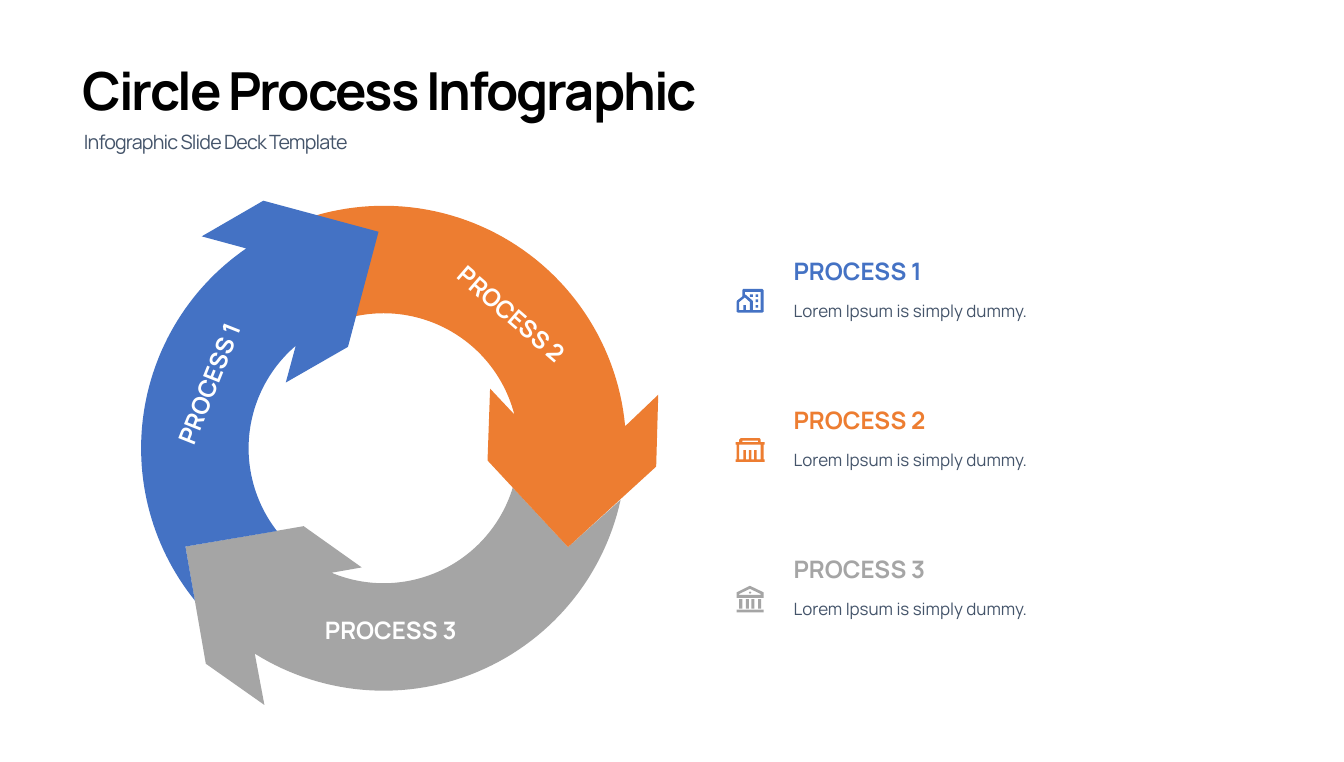
import math
from dataclasses import dataclass

import pptx
import pptx.dml.color
import pptx.enum.text
import pptx.util

Inches = pptx.util.Inches
Pt = pptx.util.Pt
Align = pptx.enum.text.PP_ALIGN


@dataclass(frozen=True)
class Theme:
    font: str = "Manrope"
    black: str = "000000"
    white: str = "FFFFFF"
    slate: str = "44546A"
    blue: str = "4472C4"
    orange: str = "ED7D31"
    grey: str = "A5A5A5"
    title: float = 74
    sub: float = 27.8
    head: float = 34
    body: float = 24


THEME = Theme()
MID_X, MID_Y = 7.53, 8.8
OUTER, INNER = 4.76, 2.65


def rgb(color):
    return pptx.dml.color.RGBColor.from_string(color)


def write(frame, text, size, color, bold=False, align=Align.LEFT,
          line=None, track=0):
    """Fill a text frame; line is exact spacing, track is letter spacing."""
    frame.word_wrap = True
    frame.auto_size = pptx.enum.text.MSO_AUTO_SIZE.NONE
    frame.vertical_anchor = pptx.enum.text.MSO_ANCHOR.TOP
    para = frame.paragraphs[0]
    para.alignment = align
    if line:
        para.line_spacing = Pt(line)
    run = para.add_run()
    run.text = text
    font = run.font
    font.name, font.size, font.bold = THEME.font, Pt(size), bold
    font.color.rgb = rgb(color)
    if track:
        run._r.get_or_add_rPr().set("spc", str(round(track * 100)))


def arc(radius, start, end, steps=60):
    """Points on the ring, in degrees clockwise from the right."""
    turns = (math.radians(start + (end - start) * i / steps)
             for i in range(steps + 1))
    return [(MID_X + radius * math.cos(a), MID_Y + radius * math.sin(a))
            for a in turns]


def box(left, top, right, bottom):
    return [(left, top), (right, top), (right, bottom), (left, bottom)]


class Deck:
    def __init__(self, theme):
        self.theme = theme
        self.file = pptx.Presentation()
        self.file.slide_width = Inches(26.38)
        self.file.slide_height = Inches(14.96)
        self.slide = self.file.slides.add_slide(self.file.slide_layouts[5])

    def title(self, text, left, top, width, height, **style):
        shape = self.slide.shapes.title
        shape.left, shape.top = Inches(left), Inches(top)
        shape.width, shape.height = Inches(width), Inches(height)
        write(shape.text_frame, text, **style)

    def text(self, text, left, top, width, height, turn=0, **style):
        shape = self.slide.shapes.add_textbox(
            Inches(left), Inches(top), Inches(width), Inches(height))
        shape.rotation = turn
        write(shape.text_frame, text, **style)

    def outline(self, loops, color, left=0, top=0):
        """Draw closed loops as one shape; inner loops are holes."""
        pen = None
        for loop in loops:
            first, *rest = [(Inches(left + x), Inches(top + y))
                            for x, y in loop]
            if pen is None:
                pen = self.slide.shapes.build_freeform(*first)
            else:
                pen.move_to(*first)
            pen.add_line_segments(rest, close=True)
        shape = pen.convert_to_shape()
        shape.shadow.inherit = False
        shape.fill.solid()
        shape.fill.fore_color.rgb = rgb(color)
        shape.line.fill.background()

    def arrow(self, color, outer, head, inner, tail):
        self.outline([arc(OUTER, *outer) + head + arc(INNER, *inner) + tail],
                     color)


HOUSE = [
    [(0.03, 0.47), (0, 0.45), (0, 0.25), (0.01, 0.23), (0.11, 0.15),
     (0.11, 0.03), (0.13, 0), (0.5, 0), (0.53, 0.03), (0.53, 0.45),
     (0.5, 0.47)],
    [(0.18, 0.42), (0.26, 0.42), (0.26, 0.26), (0.16, 0.17), (0.05, 0.26),
     (0.05, 0.42), (0.13, 0.42), (0.13, 0.32), (0.18, 0.32)],
    [(0.32, 0.42), (0.47, 0.42), (0.47, 0.06), (0.16, 0.06), (0.16, 0.11),
     (0.18, 0.12), (0.31, 0.23), (0.32, 0.25)],
    box(0.26, 0.11, 0.32, 0.16),
    *[box(0.37, y, 0.42, y + 0.05) for y in (0.11, 0.21, 0.32)],
]
HALL = [
    [(0.47, 0.08), (0.55, 0.08), (0.55, 0.13), (0.53, 0.13), (0.53, 0.42),
     (0.55, 0.42), (0.55, 0.47), (-0.02, 0.47), (-0.02, 0.42), (0, 0.42),
     (0, 0.13), (-0.02, 0.13), (-0.02, 0.08), (0.05, 0.08), (0.05, 0.03),
     (0.08, 0), (0.45, 0), (0.47, 0.03)],
    box(0.05, 0.13, 0.47, 0.42),
    box(0.11, 0.05, 0.42, 0.08),
    *[box(x, 0.24, x + 0.05, 0.42) for x in (0.13, 0.24, 0.34)],
]
BANK = [
    [(0, 0.1), (0.26, -0.03), (0.53, 0.1), (0.53, 0.21), (0, 0.21)],
    [(0.05, 0.13), (0.26, 0.03), (0.47, 0.13), (0.47, 0.15), (0.05, 0.15)],
    [(0.24, 0.1), (0.26, 0.08), (0.29, 0.1), (0.26, 0.13)],
    box(0, 0.44, 0.53, 0.49),
    *[box(x, 0.23, x + 0.06, 0.42) for x in (0.05, 0.18, 0.29, 0.42)],
]

ARROWS = [
    (THEME.grey, (12.3, 122.1),
     [(5.19, 13.84), (4.04, 13.03), (3.64, 10.73), (5.96, 10.33),
      (7.1, 11.14)],
     (112.7, 16.9), [(11.15, 10.74)]),
    (THEME.orange, (240, 354.8),
     [(12.92, 7.75), (12.88, 9.16), (11.15, 10.74), (9.57, 9.04),
      (9.62, 7.63)],
     (345.5, 240), []),
    (THEME.blue, (141.1, 235.5),
     [(3.96, 4.64), (5.17, 3.94), (7.43, 4.55), (6.83, 6.81),
      (5.61, 7.51)],
     (229.4, 142.2), [(3.64, 10.73)]),
]

# Name, colour, icon, then left, top and turn of the label on the ring
STEPS = [
    ("PROCESS 1", THEME.blue, HOUSE, 1.26, 7.19, 291.7),
    ("PROCESS 2", THEME.orange, HALL, 7.2, 5.83, 40.9),
    ("PROCESS 3", THEME.grey, BANK, 4.83, 12.03, 0),
]


def main():
    deck = Deck(THEME)
    deck.title("Circle Process Infographic", 1.52, 1.02, 20.24, 1.38,
               size=THEME.title, color=THEME.black, bold=True,
               line=94, track=-2.9)
    deck.text("Infographic Slide Deck Template", 1.55, 2.37, 19.24, 0.65,
              size=THEME.sub, color=THEME.slate, line=42, track=-1.2)
    for parts in ARROWS:
        deck.arrow(*parts)
    for row, (name, color, icon, left, top, turn) in enumerate(STEPS):
        deck.text(name, left, top, 5.68, 0.67, turn, size=THEME.head,
                  color=THEME.white, bold=True, align=Align.CENTER)
        y = 4.98 + 2.93 * row
        deck.text(name, 15.48, y, 8.13, 0.72, size=THEME.head,
                  color=color, bold=True)
        deck.text("Lorem Ipsum is simply dummy.", 15.48, y + 0.77, 8.13, 0.57,
                  size=THEME.body, color=THEME.slate, line=36)
        deck.outline(icon, color, 14.46, y + 0.69)
    deck.file.save("out.pptx")


if __name__ == "__main__":
    main()
